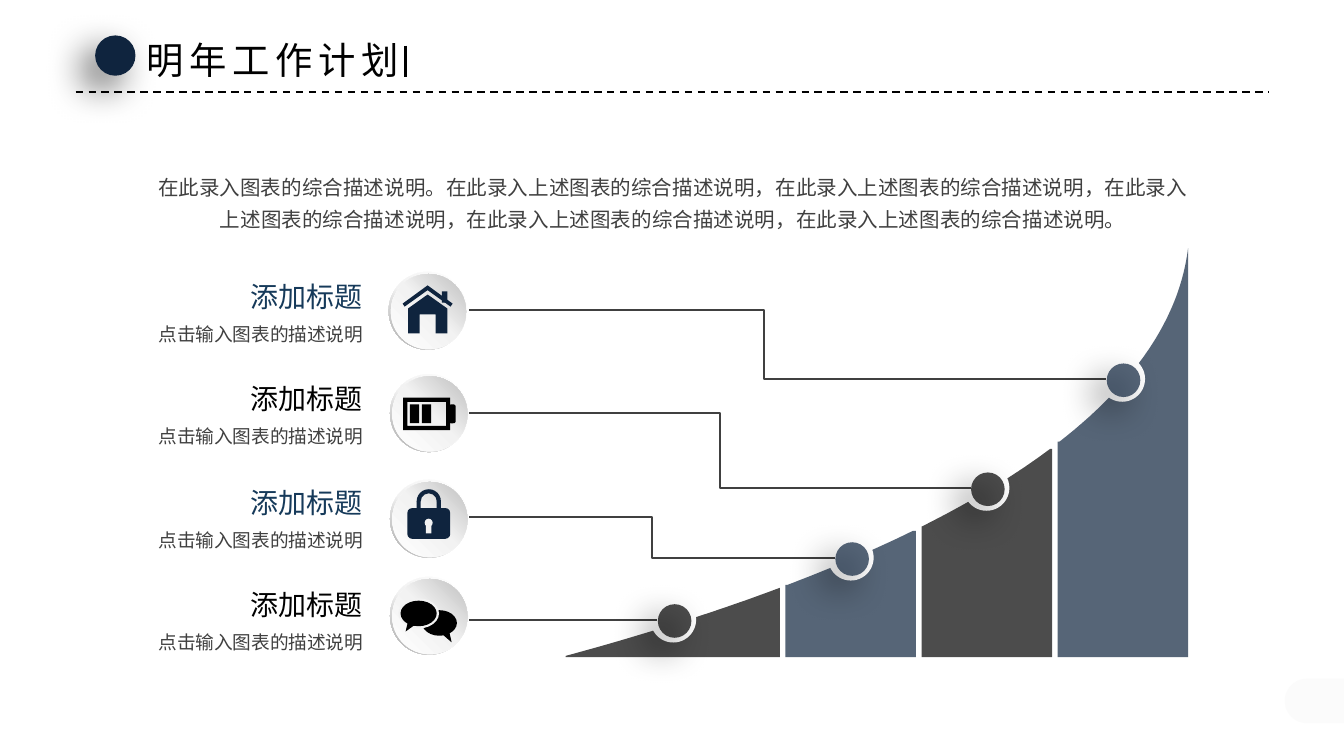
"""Build the slide for next year's work plan with a rising curve and four labelled milestones."""
from copy import deepcopy

from lxml import etree
from pptx import Presentation
from pptx.dml.color import RGBColor
from pptx.enum.dml import MSO_LINE
from pptx.enum.shapes import MSO_CONNECTOR, MSO_SHAPE
from pptx.enum.text import MSO_ANCHOR, MSO_AUTO_SIZE, PP_ALIGN
from pptx.oxml.ns import qn
from pptx.util import Pt

OVAL, DONUT, FRAME = MSO_SHAPE.OVAL, MSO_SHAPE.DONUT, MSO_SHAPE.FRAME
RECTANGLE, ROUNDED = MSO_SHAPE.RECTANGLE, MSO_SHAPE.ROUNDED_RECTANGLE
ARC, BUBBLE, TAB = MSO_SHAPE.BLOCK_ARC, MSO_SHAPE.OVAL_CALLOUT, MSO_SHAPE.ROUND_2_SAME_RECTANGLE
STRAIGHT, ELBOW = MSO_CONNECTOR.STRAIGHT, MSO_CONNECTOR.ELBOW
SOLID, DASH = MSO_LINE.SOLID, MSO_LINE.DASH
LEFT, CENTER, RIGHT = PP_ALIGN.LEFT, PP_ALIGN.CENTER, PP_ALIGN.RIGHT
FONT = "Noto Sans CJK SC"
NAVY = RGBColor(0x0F, 0x24, 0x3E)
BLUE = RGBColor(0x16, 0x3A, 0x5A)
BLACK = RGBColor(0, 0, 0)
GRAY = RGBColor(0x40, 0x40, 0x40)
WHITE = RGBColor(0xFF, 0xFF, 0xFF)
PALE = RGBColor(0xF2, 0xF2, 0xF2)
SILVER = RGBColor(0xBF, 0xBF, 0xBF)
STEEL = RGBColor(0xA6, 0xA6, 0xA6)

presentation = Presentation()
presentation.slide_width, presentation.slide_height = Pt(720), Pt(405)
slide = presentation.slides.add_slide(presentation.slide_layouts[5])
shapes = slide.shapes


def paint(shape, colour, opacity=100):
    """Give a shape a plain fill without line or shadow."""
    shape.shadow.inherit = False
    shape.line.fill.background()
    shape.fill.solid()
    shape.fill.fore_color.rgb = colour
    if opacity < 100:
        colour_element = shape._element.spPr.find(".//" + qn("a:srgbClr"))
        etree.SubElement(colour_element, qn("a:alpha"), val=str(opacity * 1000))


def add_polygon(points, colour, opacity=100):
    """Draw a closed polygon from corners in points, exact to a hundredth."""
    corners = [(x * 100, y * 100) for x, y in points]
    builder = shapes.build_freeform(*corners[0], scale=Pt(1) / 100)
    builder.add_line_segments(corners[1:], close=True)
    paint(builder.convert_to_shape(), colour, opacity)


tab_width, tab_height = 31.7, 23.8
corner_tab = shapes.add_shape(TAB, Pt(720 - (tab_width + tab_height) / 2), Pt(375.5 - tab_width / 2),
                              Pt(tab_height), Pt(tab_width))
corner_tab.left = Pt(720 - tab_width / 2 - tab_height / 2)
corner_tab.rotation = 270
corner_tab.adjustments[0] = 0.5
paint(corner_tab, PALE, 30)

curve_start, curve_pull, curve_lift, curve_end = (303, 351.4), (493, 300), (625, 227), (636.5, 133)
steps = 240
curve = []
for step in range(steps + 1):
    t = step / steps
    weights = ((1 - t) ** 3, 3 * t * (1 - t) ** 2, 3 * t * t * (1 - t), t ** 3)
    controls = (curve_start, curve_pull, curve_lift, curve_end)
    curve.append([sum(w * control[axis] for w, control in zip(weights, controls)) for axis in (0, 1)])

baseline, column_pitch, column_gap = 352, 72.9, 3
for column in range(4):
    right = curve_end[0] - column_pitch * (3 - column)
    left = right - column_pitch + column_gap if column else curve_start[0]
    edge = [point for point in curve if left <= point[0] <= right]
    outline = [(left, baseline), (left, edge[0][1]), *edge, (right, edge[-1][1]), (right, baseline)]
    add_polygon(outline, NAVY if column % 2 else BLACK, 70)

milestones = [(601.2, 203), (528.5, 261.4), (455.8, 298.8), (360.7, 332)]
ring_radius, marker_radius, marker_shift = 12.24, 9, 0.7
for x, y in milestones:
    ring = shapes.add_shape(OVAL, Pt(x - ring_radius), Pt(y - ring_radius),
                            Pt(2 * ring_radius), Pt(2 * ring_radius))
    paint(ring, WHITE)

lines = [(STRAIGHT, 40.5, 49.1, 679.5, 49.1, BLACK, 1, DASH, None),
         (STRAIGHT, 217.2, 24.5, 217.2, 41, BLACK, 1.5, SOLID, None)]
leader_starts = [166.2, 221.5, 277, 332]
for (x, y), start_y, bend in zip(milestones, leader_starts, (46200, 50000, 50000, None)):
    lines.append((ELBOW if bend else STRAIGHT, 251.5, start_y, x - 8.5, y, GRAY, 1, SOLID, bend))
for kind, x1, y1, x2, y2, colour, width, dash, bend in lines:
    connector = shapes.add_connector(kind, Pt(x1), Pt(y1), Pt(x2), Pt(y2))
    connector.line.color.rgb = colour
    connector.line.width = Pt(width)
    connector.line.dash_style = dash
    properties = connector._element.spPr
    etree.SubElement(properties, qn("a:effectLst"))
    if bend:
        guides = properties.find(".//" + qn("a:avLst"))
        etree.SubElement(guides, qn("a:gd"), name="adj1", fmla=f"val {bend}")

badge_centers = [(229.1, 166.5), (229.8, 221.3), (229.8, 277.9), (229.8, 329.9)]
badge_layers = [(DONUT, 0, 41.8, STEEL, 0.55, 225), (OVAL, 1.2, 40.3, SILVER, 0.51, 45)]
for x, y in badge_centers:
    for kind, inset, size, edge_colour, middle, angle in badge_layers:
        corner = inset - 20.9
        badge = shapes.add_shape(kind, Pt(x + corner), Pt(y + corner), Pt(size), Pt(size))
        paint(badge, PALE)
        if kind == DONUT:
            badge.adjustments[0] = 0.049
        badge.fill.gradient()
        badge.fill.gradient_angle = angle
        stop_list = badge._element.spPr.find(".//" + qn("a:gsLst"))
        stop_list.insert(1, deepcopy(stop_list[0]))
        for stop, position, colour in zip(badge.fill.gradient_stops, (0, middle, 1),
                                          (WHITE, PALE, edge_colour)):
            stop.position = position
            stop.color.rgb = colour

house_x, house_y = badge_centers[0]
wall_half = [(0, -8.7), (10.5, -1.2), (10.5, 12.1), (4.3, 12.1), (4.3, 2)]
roof_half = [(0, -13.6), (13.4, -3.8), (12.3, -2.2), (0, -11)]
for half in (wall_half, roof_half):
    mirrored = [(-x, y) for x, y in reversed(half)]
    add_polygon([(house_x + x, house_y + y) for x, y in half + mirrored], NAVY)

house = [(RECTANGLE, NAVY, 7.6, -10.3, 3, 6, {})]
battery = [
    (FRAME, BLACK, -13.8, -8.2, 25.2, 17.3, {0: 0.127}),
    (ROUNDED, BLACK, 10.6, -4.6, 3.7, 10.1, {0: 0.3}),
    (RECTANGLE, BLACK, -10.2, -4.6, 5, 10.1, {}),
    (RECTANGLE, BLACK, -3.7, -4.6, 5, 10.1, {}),
]
lock = [
    (ROUNDED, NAVY, -11.6, -5.7, 23, 16.5, {0: 0.16}),
    (ARC, NAVY, -6.6, -15.8, 13, 13, {2: 0.17}),
    (RECTANGLE, NAVY, -6.6, -9.4, 2.2, 4.5, {}),
    (RECTANGLE, NAVY, 4.2, -9.4, 2.2, 4.5, {}),
    (OVAL, PALE, -2.3, 0, 4.3, 4.3, {}),
    (RECTANGLE, PALE, -1.6, 3, 3, 4.9, {}),
]
chat = [
    (BUBBLE, BLACK, -3.7, -3, 18.7, 13.7, {0: 0.35, 1: 0.76}),
    (OVAL, PALE, -16.4, -9.3, 21.8, 16.1, {}),
    (BUBBLE, BLACK, -15.2, -8.1, 19.4, 13.7, {0: -0.36, 1: 0.71}),
]
for (x, y), icon in zip(badge_centers, (house, battery, lock, chat)):
    for kind, colour, left, top, width, height, adjustments in icon:
        part = shapes.add_shape(kind, Pt(x + left), Pt(y + top), Pt(width), Pt(height))
        paint(part, colour)
        for index, value in adjustments.items():
            part.adjustments[index] = value

summary = "在此录入图表的综合描述说明。" + "，".join(["在此录入上述图表的综合描述说明"] * 5) + "。"
texts = [
    (shapes.title, 71.3, 16.5, 154, 31.5, "明年工作计划", 20, BLACK, LEFT),
    (None, 77, 87.1, 567.4, 40.5, summary, 11, GRAY, CENTER),
]
for top, colour in zip((146.9, 201.6, 257.6, 312.3), (BLUE, BLACK, BLUE, BLACK)):
    texts.append((None, 128.2, top, 71.3, 23.6, "添加标题", 15, colour, RIGHT))
    texts.append((None, 78.2, top + 23.2, 121.7, 17.3, "点击输入图表的描述说明", 10, GRAY, RIGHT))
for placeholder, left, top, width, height, text, size, colour, alignment in texts:
    box = placeholder or shapes.add_textbox(0, 0, 0, 0)
    box.left, box.top, box.width, box.height = Pt(left), Pt(top), Pt(width), Pt(height)
    frame = box.text_frame
    frame.auto_size = MSO_AUTO_SIZE.SHAPE_TO_FIT_TEXT
    frame.word_wrap = text == summary
    frame.vertical_anchor = MSO_ANCHOR.TOP
    frame.margin_left = frame.margin_right = Pt(7.2 if placeholder else 5.4)
    frame.margin_top = frame.margin_bottom = Pt(3.6 if placeholder else 2.7)
    paragraph = frame.paragraphs[0]
    paragraph.alignment = alignment
    paragraph.line_spacing = 1.3 if text == summary else 1.0
    run = paragraph.add_run()
    run.text = text
    run.font.size, run.font.name = Pt(size), FONT
    run.font.color.rgb = colour
    run_properties = run.font._element
    etree.SubElement(run_properties, qn("a:ea"), typeface=FONT)
    if placeholder:
        run_properties.set("spc", "300")

dots = [(61.8, 29.8, 10.8, NAVY, 100)]
for (x, y), colour in zip(milestones, (NAVY, BLACK, NAVY, BLACK)):
    dots.append((x + marker_shift, y + marker_shift, marker_radius, colour, 70))
for x, y, radius, colour, opacity in dots:
    dot = shapes.add_shape(OVAL, Pt(x - radius), Pt(y - radius), Pt(2 * radius), Pt(2 * radius))
    paint(dot, colour, opacity)
    effects = dot._element.spPr.find(qn("a:effectLst"))
    shadow = etree.SubElement(effects, qn("a:outerShdw"), blurRad=str(Pt(20)), dist=str(Pt(10)),
                              dir="8100000", algn="tr", rotWithShape="0")
    shadow_colour = etree.SubElement(shadow, qn("a:srgbClr"), val="000000")
    etree.SubElement(shadow_colour, qn("a:alpha"), val="60000")

presentation.save("out.pptx")
